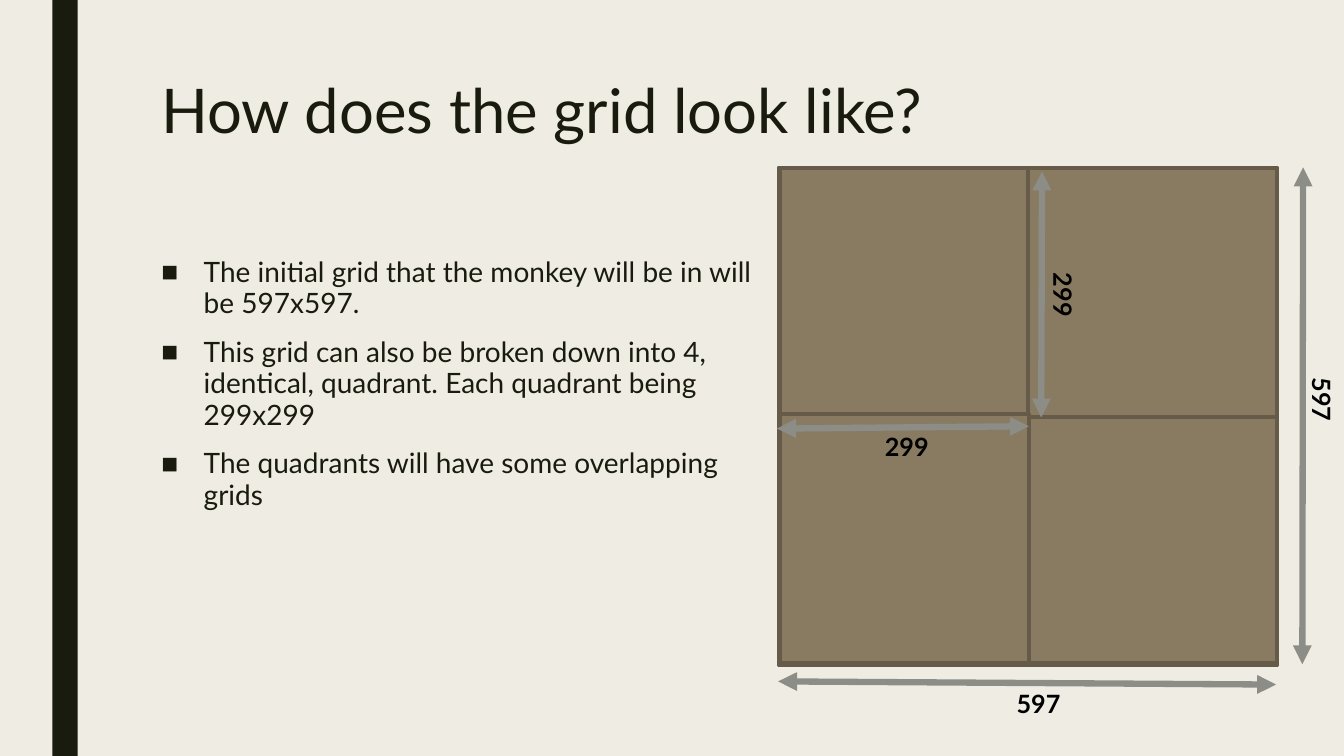
from dataclasses import dataclass

import lxml.etree
import pptx
import pptx.dml.color
import pptx.enum.shapes
import pptx.enum.text
import pptx.oxml.ns
import pptx.util
from pptx.util import Cm

COLORS = {
    "background": "EFEDE3",
    "dark": "191B0E",
    "tile": "897B61",
    "border": "655B48",
    "arrow": "8C8D86",
    "label": "000000",
}
FONT = "Lato"
QUADRANT_SIDE = 6.27
COLUMNS = (19.66, 25.9)
ROWS = (4.23, 10.44)


@dataclass(frozen=True)
class Area:
    """A rectangle, in centimetres."""
    left: float
    top: float
    width: float
    height: float

    def lengths(self) -> tuple:
        return Cm(self.left), Cm(self.top), Cm(self.width), Cm(self.height)


@dataclass(frozen=True)
class Dimension:
    """A double-headed arrow with its label, in centimetres."""
    start: tuple[float, float]
    end: tuple[float, float]
    text: str
    label: Area
    vertical: bool = False


BULLETS = (
    "The initial grid that the monkey will be in will be 597x597.",
    "This grid can also be broken down into 4, identical, quadrant. Each quadrant being 299x299",
    "The quadrants will have some overlapping grids",
)
GRID = Area(19.63, 4.22, 12.55, 12.55)
# Back to front: top left, bottom right, top right, bottom left
QUADRANTS = [
    Area(COLUMNS[column], ROWS[row], QUADRANT_SIDE, QUADRANT_SIDE)
    for column, row in ((0, 0), (1, 1), (1, 0), (0, 1))
]
GRID_DIMENSIONS = (
    Dimension((19.61, 17.17), (32.16, 17.25), "597", Area(25.37, 17.22, 1.8, 1.02)),
    Dimension((32.82, 16.74), (32.84, 4.22), "597", Area(32.56, 9.27, 1.27, 1.83), True),
)
QUADRANT_DIMENSIONS = (
    Dimension((26.24, 10.52), (26.26, 4.32), "299", Area(26.04, 6.63, 1.27, 2.31), True),
    Dimension((19.58, 10.8), (25.93, 10.74), "299", Area(22.05, 10.74, 1.8, 1.02)),
)


def rgb(name: str) -> pptx.dml.color.RGBColor:
    return pptx.dml.color.RGBColor.from_string(COLORS[name])


def add_xml(parent, tag: str, **attributes: str) -> None:
    child = lxml.etree.SubElement(parent, pptx.oxml.ns.qn(tag))
    for key, value in attributes.items():
        child.set(key, value)


def style_text(para, size: float, color: str, bold: bool = False) -> None:
    # Runs are set too, as some viewers skip paragraph defaults
    for font in (para.font, *(span.font for span in para.runs)):
        font.name = FONT
        font.size = pptx.util.Pt(size)
        font.bold = bold
        font.color.rgb = rgb(color)


def place(holder, area: Area):
    """Move a placeholder and return its top-anchored text frame."""
    holder.left, holder.top, holder.width, holder.height = area.lengths()
    frame = holder.text_frame
    frame.vertical_anchor = pptx.enum.text.MSO_ANCHOR.TOP
    frame.auto_size = pptx.enum.text.MSO_AUTO_SIZE.NONE
    return frame


def add_box(shapes, area: Area, fill: str, border: str | None = None) -> None:
    box = shapes.add_shape(pptx.enum.shapes.MSO_SHAPE.RECTANGLE, *area.lengths())
    box.shadow.inherit = False
    box.fill.solid()
    box.fill.fore_color.rgb = rgb(fill)
    if border is None:
        box.line.fill.background()
    else:
        box.line.color.rgb = rgb(border)
        box.line.width = pptx.util.Pt(2.75)


def add_dimension(shapes, item: Dimension) -> None:
    arrow = shapes.add_connector(
        pptx.enum.shapes.MSO_CONNECTOR.STRAIGHT,
        *(Cm(value) for value in item.start + item.end),
    )
    arrow.line.color.rgb = rgb("arrow")
    arrow.line.width = pptx.util.Pt(4.5)
    outline = arrow.line._get_or_add_ln()
    add_xml(outline, "a:headEnd", type="triangle")
    add_xml(outline, "a:tailEnd", type="triangle")
    add_xml(arrow.element.spPr, "a:effectLst")

    box = shapes.add_textbox(*item.label.lengths())
    frame = box.text_frame
    frame.word_wrap = True
    frame.auto_size = pptx.enum.text.MSO_AUTO_SIZE.SHAPE_TO_FIT_TEXT
    if item.vertical:
        box.element.txBody.bodyPr.set("vert", "eaVert")
    frame.text = item.text
    style_text(frame.paragraphs[0], 18, "label", bold=True)


def fill_title(page) -> None:
    frame = place(page.shapes.title, Area(3.81, 1.91, 26.67, 4.11))
    frame.text = "How does the grid look like?"
    para = frame.paragraphs[0]
    para.alignment = pptx.enum.text.PP_ALIGN.LEFT
    para.line_spacing = 0.89
    style_text(para, 44, "dark")


def fill_body(page) -> None:
    frame = place(page.placeholders[1], Area(3.81, 6.35, 15.77, 9.96))
    frame.text = "\n".join(BULLETS)
    for para in frame.paragraphs:
        para.line_spacing = 0.94
        para.space_before = pptx.util.Pt(10)
        para.space_after = pptx.util.Pt(2)
        properties = para._p.get_or_add_pPr()
        properties.set("marL", str(Cm(1.07)))
        properties.set("indent", str(-Cm(1.07)))
        add_xml(properties, "a:buChar", char="■")
        style_text(para, 20, "dark")


def main() -> None:
    deck = pptx.Presentation()
    deck.slide_width, deck.slide_height = Cm(33.87), Cm(19.05)
    page = deck.slides.add_slide(deck.slide_layouts[1])
    page.background.fill.solid()
    page.background.fill.fore_color.rgb = rgb("background")

    # Side bar and text
    add_box(page.shapes, Area(1.32, 0, 0.64, 19.05), "dark")
    fill_title(page)
    fill_body(page)

    # Grid diagram
    diagram = page.shapes.add_group_shape().shapes
    add_box(diagram, GRID, "tile", "border")
    for item in GRID_DIMENSIONS:
        add_dimension(diagram, item)
    for quadrant in QUADRANTS:
        add_box(diagram, quadrant, "tile", "border")
    for item in QUADRANT_DIMENSIONS:
        add_dimension(diagram, item)

    deck.save("out.pptx")


if __name__ == "__main__":
    main()
